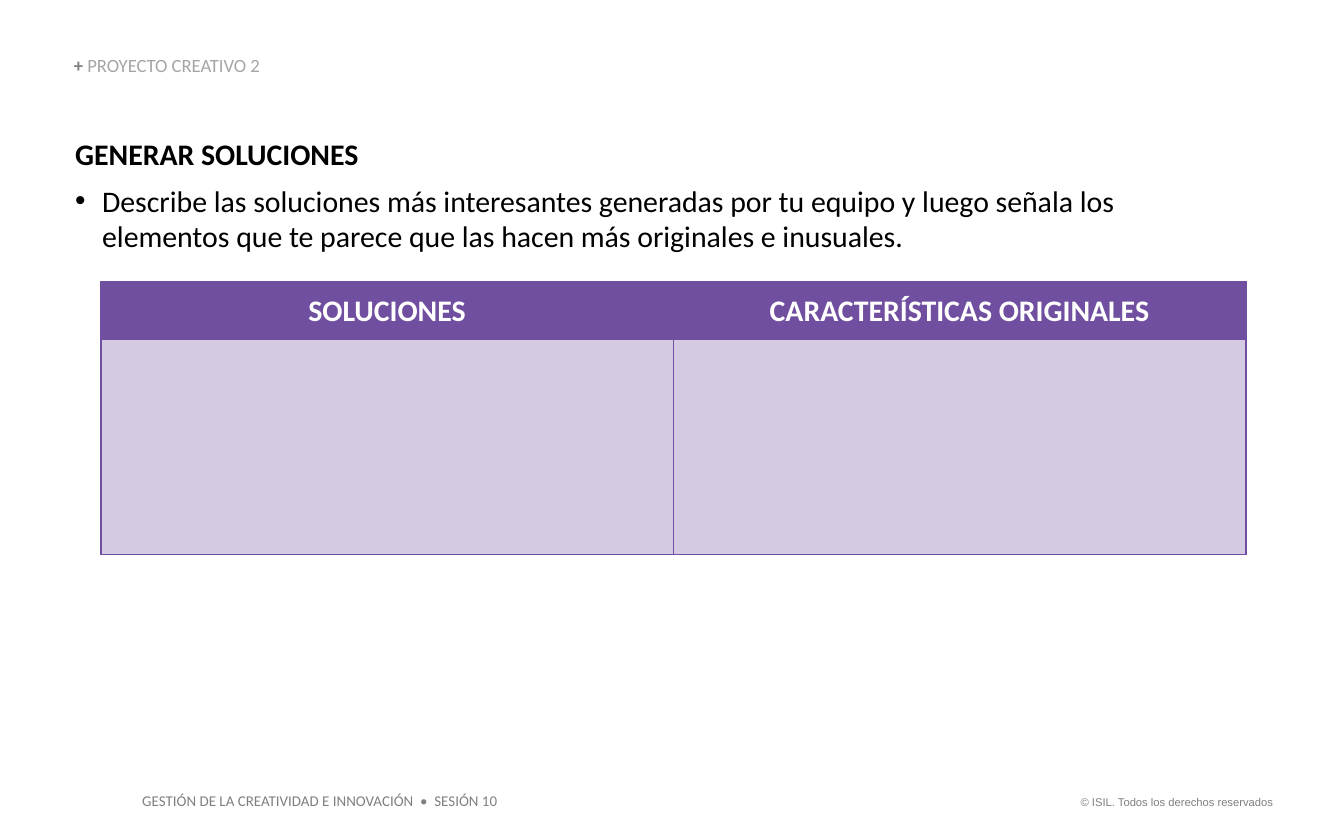
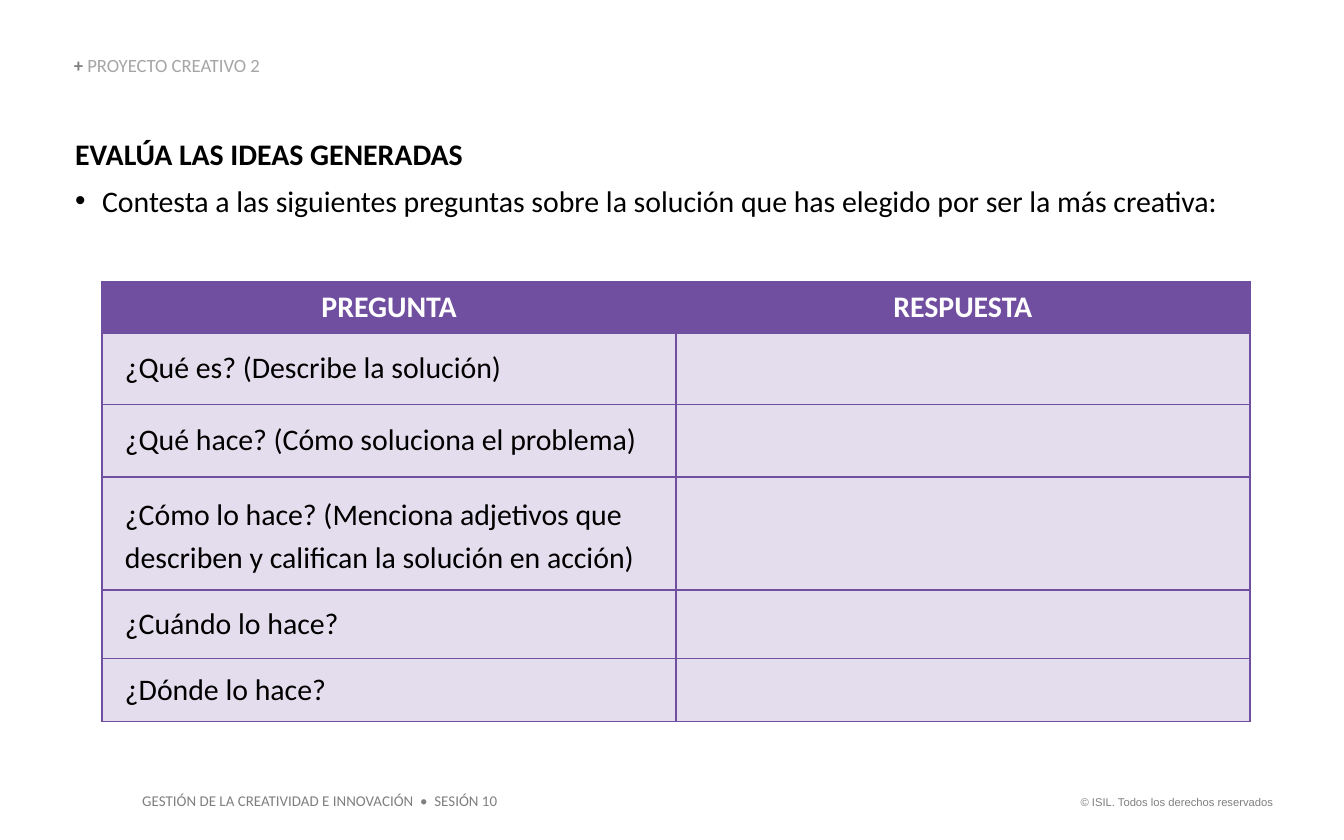
from dataclasses import dataclass

from lxml.etree import SubElement
from pptx import Presentation
from pptx.dml.color import RGBColor
from pptx.enum.text import MSO_ANCHOR, MSO_AUTO_SIZE, PP_ALIGN
from pptx.oxml import parse_xml
from pptx.oxml.ns import nsdecls, qn
from pptx.util import Inches, Pt

WIDE, HIGH = Inches(10), Inches(6.25)


@dataclass(frozen=True)
class Theme:
    font: str = "Calibri"
    legal: str = "Arial"
    ink: str = "000000"
    white: str = "FFFFFF"
    gray: str = "7F7F7F"
    pale: str = "A5A5A5"
    purple: str = "714FA0"
    lilac: str = "D4CBE3"
    mist: str = "E4DDED"
    main: float = 16
    label: float = 10
    foot: float = 8
    small: float = 6


THEME = Theme()


def across(share):
    return round(WIDE * share / 100)


def down(share):
    return round(HIGH * share / 100)


def apply(item, values):
    for name, value in values.items():
        setattr(item, name, value)


def place(shape, left, top, width, height):
    """Position a shape in percent of the slide's width and height."""
    apply(shape, {"left": across(left), "top": down(top),
                  "width": across(width), "height": down(height)})


def write(para, text, size, color, bold=False, font=THEME.font):
    run = para.add_run()
    run.text = text
    apply(run.font, {"size": Pt(size), "bold": bold, "name": font})
    run.font.color.rgb = RGBColor.from_string(color)


def frame(shape, anchor, side=0, edge=0):
    text = shape.text_frame
    apply(text, {"word_wrap": True, "auto_size": MSO_AUTO_SIZE.NONE,
                 "vertical_anchor": anchor,
                 "margin_left": Inches(side), "margin_right": Inches(side),
                 "margin_top": Inches(edge), "margin_bottom": Inches(edge)})
    return text


def indent(para, left, first):
    props = para._p.get_or_add_pPr()
    props.set("marL", str(Inches(left)))
    props.set("indent", str(Inches(first)))
    return props


def add_foot(slide, spot, text, align, size, font):
    box = slide.shapes.add_textbox(0, 0, 0, 0)
    place(box, *spot)
    para = frame(box, MSO_ANCHOR.TOP, 0.1, 0.05).paragraphs[0]
    para.alignment = align
    write(para, text, size, THEME.gray, font=font)


def add_title(slide):
    title = slide.shapes.title
    place(title, 5.5, 6.4, 35.4, 2.72)
    para = frame(title, MSO_ANCHOR.BOTTOM).paragraphs[0]
    para.alignment = PP_ALIGN.LEFT
    write(para, "+ ", THEME.label, THEME.gray, True)
    write(para, "PROYECTO CREATIVO 2", THEME.label, THEME.pale)


def add_body(slide, head, point, width, height):
    body = slide.placeholders[1]
    place(body, 5.6, 16.1, width, height)
    text = frame(body, MSO_ANCHOR.TOP)

    first = text.paragraphs[0]
    SubElement(indent(first, 0, 0), qn("a:buNone"))
    first.space_before = Pt(0)
    write(first, head, THEME.main, THEME.ink, True)

    item = text.add_paragraph()
    props = indent(item, 0.2, -0.2)
    tint = SubElement(props, qn("a:buClr"))
    SubElement(tint, qn("a:srgbClr"), val=THEME.ink)
    SubElement(props, qn("a:buFont"), typeface=THEME.legal)
    SubElement(props, qn("a:buChar"), char="•")
    item.space_before = Pt(6)
    write(item, point, THEME.main, THEME.ink)


def paint(cell, color):
    """Fill a cell, and set its margins and purple borders."""
    apply(cell, {"vertical_anchor": MSO_ANCHOR.MIDDLE,
                 "margin_left": Inches(0.07), "margin_right": Inches(0.07),
                 "margin_top": Inches(0.04), "margin_bottom": Inches(0.04)})
    cell.fill.solid()
    cell.fill.fore_color.rgb = RGBColor.from_string(color)
    props = cell._tc.get_or_add_tcPr()
    for spot, side in enumerate("LRTB"):
        props.insert(spot, parse_xml(
            f'<a:ln{side} {nsdecls("a")} w="{Pt(1)}"><a:solidFill>'
            f'<a:srgbClr val="{THEME.purple}"/></a:solidFill></a:ln{side}>'))


def add_grid(slide, left, width, heads, top_row, rows, color):
    """Draw a table; rows holds (height, question, line spacing)."""
    heights = [top_row] + [row[0] for row in rows]
    table = slide.shapes.add_table(
        len(heights), len(heads), across(left), down(33.6),
        across(width), down(sum(heights))).table
    for line, height in zip(table.rows, heights):
        line.height = down(height)

    for col, head in enumerate(heads):
        cell = table.cell(0, col)
        paint(cell, THEME.purple)
        para = cell.text_frame.paragraphs[0]
        para.alignment = PP_ALIGN.CENTER
        write(para, head, THEME.main, THEME.white, True)

    for index, (_, text, space) in enumerate(rows, 1):
        for col in range(len(heads)):
            paint(table.cell(index, col), color)
        if text:
            para = table.cell(index, 0).text_frame.paragraphs[0]
            indent(para, 0.1, 0)
            para.line_spacing = space
            write(para, text, THEME.main, THEME.ink)


def add_page(deck):
    slide = deck.slides.add_slide(deck.slide_layouts[1])
    add_foot(slide, (78.8, 93.92, 16.9, 3.2),
             "© ISIL. Todos los derechos reservados",
             PP_ALIGN.RIGHT, THEME.small, THEME.legal)
    add_foot(slide, (9.6, 93.44, 29, 3.84),
             "GESTIÓN DE LA CREATIVIDAD E INNOVACIÓN  •  SESIÓN 10",
             PP_ALIGN.LEFT, THEME.foot, THEME.font)
    add_title(slide)
    return slide


def main():
    deck = Presentation()
    apply(deck, {"slide_width": WIDE, "slide_height": HIGH})

    ideas = add_page(deck)
    add_body(ideas, "GENERAR SOLUCIONES",
             "Describe las soluciones más interesantes generadas por tu equipo "
             "y luego señala los elementos que te parece que las hacen más "
             "originales e inusuales.", 79.3, 14.24)
    add_grid(ideas, 7.5, 85.2, ("SOLUCIONES", "CARACTERÍSTICAS ORIGINALES"),
             6.8, [(25.6, "", 1)], THEME.lilac)

    review = add_page(deck)
    add_body(review, "EVALÚA LAS IDEAS GENERADAS",
             "Contesta a las siguientes preguntas sobre la solución que has "
             "elegido por ser la más creativa:", 87.9, 9.92)
    add_grid(review, 7.6, 85.4, ("PREGUNTA", "RESPUESTA"), 6.05, [
        (8.5, "¿Qué es? (Describe la solución)", 1),
        (8.65, "¿Qué hace? (Cómo soluciona el problema)", 1),
        (13.45, "¿Cómo lo hace? (Menciona adjetivos que describen y "
                "califican la solución en acción)", 1.18),
        (8.15, "¿Cuándo lo hace?", 1),
        (7.5, "¿Dónde lo hace?", 1),
    ], THEME.mist)

    deck.save("out.pptx")


if __name__ == "__main__":
    main()
